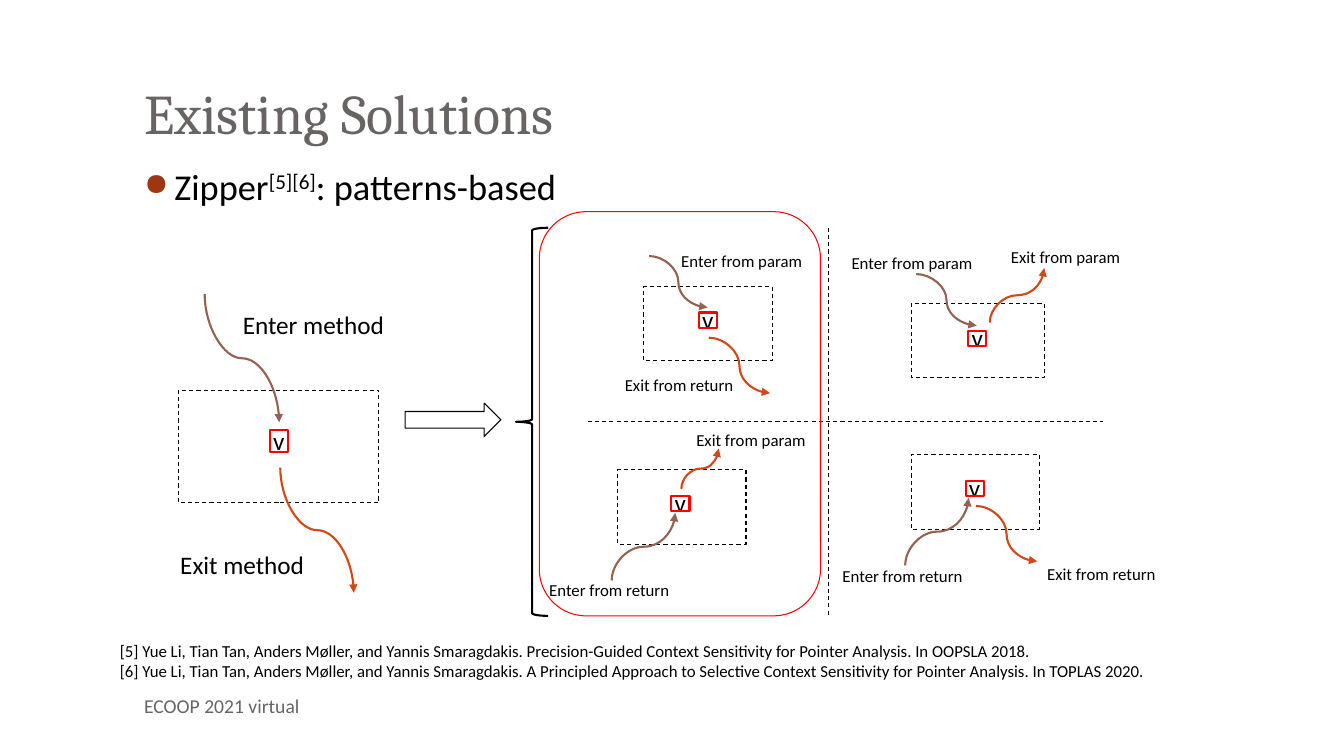
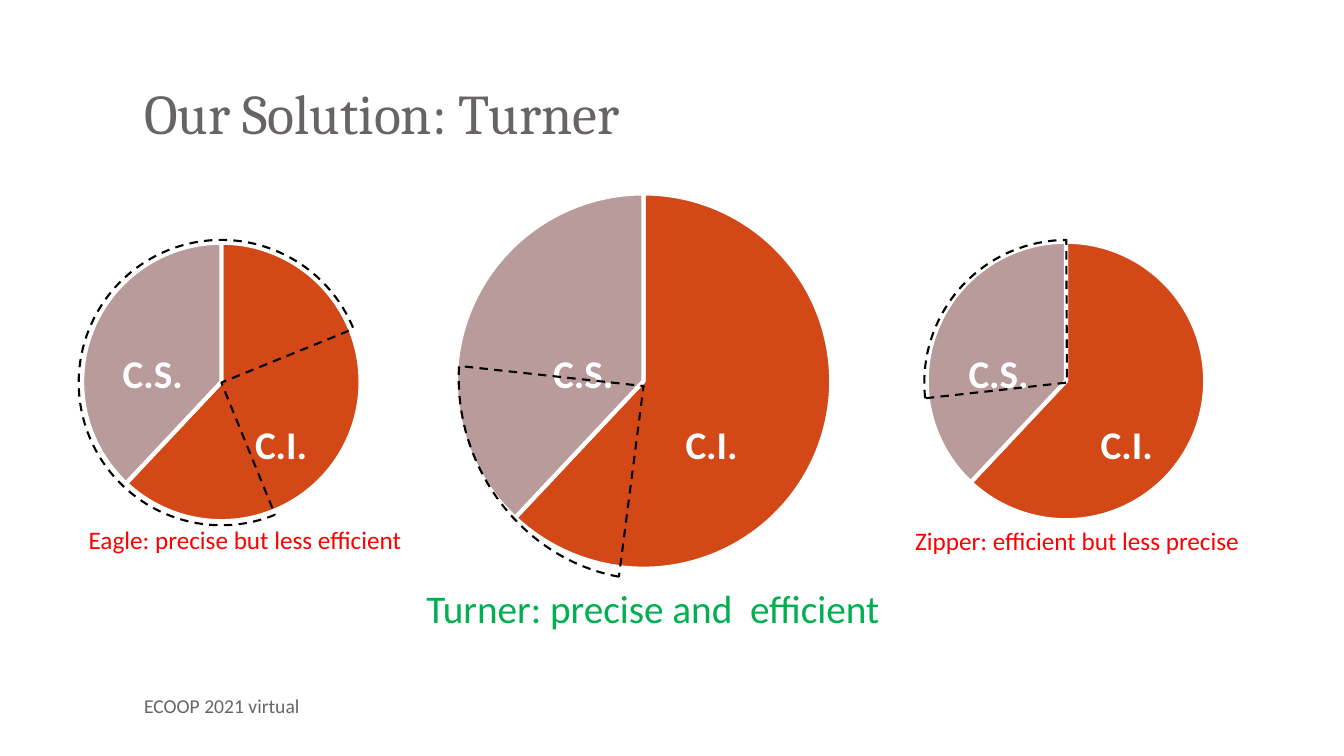
from dataclasses import dataclass
from typing import NamedTuple

from lxml.etree import SubElement
from pptx import Presentation
from pptx.chart.data import CategoryChartData
from pptx.dml.color import RGBColor
from pptx.enum.chart import XL_CHART_TYPE
from pptx.enum.dml import MSO_LINE
from pptx.enum.shapes import MSO_CONNECTOR, MSO_SHAPE
from pptx.enum.text import MSO_ANCHOR, MSO_AUTO_SIZE, PP_ALIGN
from pptx.oxml.ns import qn
from pptx.util import Pt

# Shared look
BLACK = RGBColor(0x00, 0x00, 0x00)
WHITE = RGBColor(0xFF, 0xFF, 0xFF)
GRAY = RGBColor(0x69, 0x64, 0x64)
RED = RGBColor(0xFF, 0x00, 0x00)
GREEN = RGBColor(0x00, 0xB0, 0x50)
ORANGE = RGBColor(0xD3, 0x48, 0x17)
BROWN = RGBColor(0x95, 0x62, 0x51)
MAUVE = RGBColor(0xB9, 0x9B, 0x9B)
BULLET_HEX = "9E3611"
HEADING_FONT = "Cambria"
BODY_FONT = "Calibri"


class Area(NamedTuple):
    left: float
    top: float
    width: float
    height: float


class Point(NamedTuple):
    x: float
    y: float


@dataclass(frozen=True)
class Arrow:
    start: Point
    end: Point
    vertical: bool = False


@dataclass(frozen=True)
class Label:
    text: str
    left: float
    top: float
    width: float


@dataclass(frozen=True)
class Flow:
    """A method with a variable, entered and left along two arrows."""
    method: Area
    variable: Point
    enter: Arrow
    leave: Arrow
    labels: tuple[Label, Label]
    label_size: float = 12
    label_height: float = 21.6
    marker_width: float = 13
    marker_height: float = 10.8


@dataclass(frozen=True)
class Analysis:
    """A pie chart, its dashed sector (in degrees) and its caption."""
    chart: Area
    label_left: float
    sector: Area
    rotation: float
    sector_start: float
    sector_end: float
    caption: str
    caption_area: Area
    caption_size: float
    caption_color: RGBColor


FLOWS = [
    Flow(Area(460, 204.5, 91.5, 53.3), Point(505.5, 228.6),
         Arrow(Point(463.7, 182.9), Point(505.4, 219.6)),
         Arrow(Point(506.2, 241.2), Point(550.1, 280.8)),
         (Label("Enter from param", 479.5, 175.7, 101.5),
          Label("Exit from return", 439.2, 264.2, 92.9))),
    Flow(Area(127.4, 278.6, 143.3, 80.6), Point(199.1, 315),
         Arrow(Point(146.2, 210.2), Point(199.4, 301.7), True),
         Arrow(Point(200.2, 334.1), Point(252.7, 423.4), True),
         (Label("Enter method", 166.3, 217.4, 116.6),
          Label("Exit method", 121.7, 388.8, 103.7)),
         label_size=18, label_height=28.8, marker_height=15.8),
    Flow(Area(650.9, 216.7, 95, 53.3), Point(698, 241.6),
         Arrow(Point(654.5, 195.8), Point(697.7, 232.6)),
         Arrow(Point(707, 230.4), Point(745.9, 191.5), True),
         (Label("Enter from param", 601.2, 177.1, 105.8),
          Label("Exit from param", 715, 172.8, 93.6))),
    Flow(Area(650.9, 324.7, 91.5, 53.3), Point(696.2, 348.8),
         Arrow(Point(646.6, 403.9), Point(691.9, 355.7), True),
         Arrow(Point(697, 361.4), Point(740.9, 401)),
         (Label("Enter from return", 594.7, 400.3, 100.8),
          Label("Exit from return", 740.9, 398.9, 92.9))),
    Flow(Area(441.4, 335.5, 91.5, 53.3), Point(486, 359.6),
         Arrow(Point(437, 414.7), Point(482.4, 366.5), True),
         Arrow(Point(486.7, 349.2), Point(513.4, 320.4), True),
         (Label("Enter from return", 385.2, 410.4, 100.8),
          Label("Exit from param", 490.3, 303.1, 93.6))),
]

ANALYSES = [
    Analysis(Area(234.7, 128.2, 450, 288), 388.1,
             Area(320.4, 144.7, 278.6, 262.1), 69.5, 27.88, 116.7,
             "Turner: precise and  efficient",
             Area(297.4, 414, 342, 41), 28, GREEN),
    Analysis(Area(-41, 163.4, 398.2, 218.9), 80.6,
             Area(56.2, 171.4, 203.8, 203.8), 67.9, 0, 270,
             "Eagle: precise but less efficient",
             Area(56.2, 370.8, 241.2, 28.8), 18, RED),
    Analysis(Area(562.3, 162.7, 398.2, 218.9), 684.7,
             Area(660.2, 171.4, 203.8, 203.8), 173.7, 0, 96.03,
             "Zipper: efficient but less precise",
             Area(646.6, 371.5, 253.4, 28.8), 18, RED),
]

REFERENCES = (
    "[5] Yue Li, Tian Tan, Anders Møller, and Yannis Smaragdakis. "
    "Precision-Guided Context Sensitivity for Pointer Analysis. In OOPSLA 2018.",
    "[6] Yue Li, Tian Tan, Anders Møller, and Yannis Smaragdakis. "
    "A Principled Approach to Selective Context Sensitivity for Pointer Analysis. "
    "In TOPLAS 2020.",
)


def place(area: Area) -> tuple:
    return tuple(Pt(length) for length in area)


def add_text(page, area: Area, lines: tuple, size: float, color=BLACK, font=BODY_FONT,
             bold=False, anchor=MSO_ANCHOR.MIDDLE, wrap=False, grow=True,
             align=PP_ALIGN.LEFT):
    box = page.shapes.add_textbox(*place(area))
    frame = box.text_frame
    frame.word_wrap = wrap
    frame.auto_size = (MSO_AUTO_SIZE.SHAPE_TO_FIT_TEXT if grow and not wrap
                       else MSO_AUTO_SIZE.NONE)
    frame.vertical_anchor = anchor
    for index, line in enumerate(lines):
        para = frame.add_paragraph() if index else frame.paragraphs[0]
        para.text = line
        para.alignment = align
        para.font.name, para.font.size, para.font.bold = font, Pt(size), bold
        para.font.color.rgb = color
    return box


def style_line(line, color: RGBColor, width: float, dashed: bool = False) -> None:
    line.color.rgb = color
    line.width = Pt(width)
    if dashed:
        line.dash_style = MSO_LINE.DASH


def add_outline(page, kind, area: Area, color=BLACK, width=0.75, dashed=False):
    shape = page.shapes.add_shape(kind, *place(area))
    shape.shadow.inherit = False
    shape.fill.background()
    style_line(shape.line, color, width, dashed)
    return shape


def add_line(page, kind, start: Point, end: Point, color=BLACK, width=0.75, dashed=False):
    line = page.shapes.add_connector(kind, *place((*start, *end)))
    style_line(line.line, color, width, dashed)
    SubElement(line._element.spPr, qn("a:effectLst"))
    return line


def add_arrow(page, arrow: Arrow, color: RGBColor) -> None:
    start, end = arrow.start, arrow.end
    if arrow.vertical:
        # A curve that leaves vertically is a horizontal one turned about its centre
        middle = Point((start.x + end.x) / 2, (start.y + end.y) / 2)
        half_width, half_height = abs(end.y - start.y) / 2, abs(end.x - start.x) / 2
        start = Point(middle.x - half_width, middle.y - half_height)
        end = Point(middle.x + half_width, middle.y + half_height)
    curve = add_line(page, MSO_CONNECTOR.CURVE, start, end, color, 1.5)
    if arrow.vertical:
        upward = arrow.end.y < arrow.start.y
        frame = curve._element.spPr.find(qn("a:xfrm"))
        frame.set("rot", str((90 if upward else 270) * 60000))
        frame.set("flipH", "1")
        if upward:
            frame.set("flipV", "1")
    SubElement(curve._element.spPr.find(qn("a:ln")), qn("a:tailEnd"), type="triangle")


def add_flow(page, flow: Flow) -> None:
    add_outline(page, MSO_SHAPE.RECTANGLE, flow.method, dashed=True)
    x, y = flow.variable
    add_text(page, Area(x - 12, y - 10.2, 24, 19.4), ("v",), 18, grow=False,
             align=PP_ALIGN.CENTER)
    add_arrow(page, flow.enter, BROWN)
    add_arrow(page, flow.leave, ORANGE)
    for label in flow.labels:
        add_text(page, Area(label.left, label.top, label.width, flow.label_height),
                 (label.text,), flow.label_size)
    marker = Area(x - flow.marker_width / 2, y - flow.marker_height / 2,
                  flow.marker_width, flow.marker_height)
    add_outline(page, MSO_SHAPE.RECTANGLE, marker, RED, 1.5)


def add_analysis(page, analysis: Analysis) -> None:
    data = CategoryChartData()
    data.categories = ["1", "2"]
    data.add_series("Series 1", (62, 38))
    chart = page.shapes.add_chart(XL_CHART_TYPE.PIE, *place(analysis.chart), data).chart
    chart.has_title = chart.has_legend = False
    chart.font.name, chart.font.size = BODY_FONT, Pt(10)
    chart.font.color.rgb = BLACK
    plot = chart.plots[0]
    plot.vary_by_categories = True
    for index, color in enumerate((ORANGE, MAUVE)):
        slice_format = plot.series[0].points[index].format
        slice_format.fill.solid()
        slice_format.fill.fore_color.rgb = color
        style_line(slice_format.line, WHITE, 3)

    left = analysis.label_left
    add_text(page, Area(left, 246.2, 58.3, 41), ("C.S.",), 28, WHITE, bold=True)
    add_text(page, Area(left + 94.5, 296.6, 52.6, 41), ("C.I.",), 28, WHITE, bold=True)

    sector = add_outline(page, MSO_SHAPE.PIE, analysis.sector, width=1.5, dashed=True)
    # Adjustments count 100000ths, angles 60000ths of a degree
    sector.adjustments[0] = analysis.sector_start * 0.6
    sector.adjustments[1] = analysis.sector_end * 0.6
    sector.rotation = analysis.rotation
    add_text(page, analysis.caption_area, (analysis.caption,), analysis.caption_size,
             analysis.caption_color)


def add_page(deck, title: str):
    page = deck.slides.add_slide(deck.slide_layouts[6])
    heading = add_text(page, Area(95.8, 21.6, 815.8, 90), (title,), 40, GRAY,
                       HEADING_FONT, anchor=MSO_ANCHOR.BOTTOM, wrap=True)
    heading.text_frame.margin_bottom = Pt(7.2)
    return page


def add_footer(page) -> None:
    add_text(page, Area(95.8, 486, 416.2, 36), ("ECOOP 2021 virtual",), 14, GRAY, wrap=True)


def add_bullet(page) -> None:
    box = add_text(page, Area(95.8, 113.8, 815.8, 360), ("Zipper",), 26,
                   anchor=MSO_ANCHOR.TOP, wrap=True)
    para = box.text_frame.paragraphs[0]
    para.space_before = Pt(5.8)
    citation = para.add_run()
    citation.text = "[5][6]"
    citation.font._element.set("baseline", "30000")
    para.add_run().text = ": patterns-based"
    properties = para._p.get_or_add_pPr()
    properties.set("marL", str(Pt(21.6)))
    properties.set("indent", str(-Pt(21.6)))
    bullet = [("buClr", {}), ("buSzPct", {"val": "85000"}), ("buChar", {"char": "●"})]
    before = properties.find(qn("a:defRPr"))
    for tag, attributes in bullet:
        part = SubElement(properties, qn(f"a:{tag}"), attributes)
        if tag == "buClr":
            SubElement(part, qn("a:srgbClr"), val=BULLET_HEX)
        if before is not None:
            before.addprevious(part)


def build_existing_solutions(deck) -> None:
    page = add_page(deck, "Existing Solutions")
    add_bullet(page)
    add_footer(page)
    add_text(page, Area(78.5, 454.3, 752.4, 36), REFERENCES, 12)
    # Arrow, brace and dividers of the four patterns
    add_outline(page, MSO_SHAPE.RIGHT_ARROW, Area(289.4, 288, 68.4, 23.8))
    add_outline(page, MSO_SHAPE.LEFT_BRACE, Area(368.6, 162.7, 23, 277.2), width=1.5)
    for start, end in ((Point(419.8, 301), Point(787.7, 301)),
                       (Point(591.8, 162.7), Point(591.8, 439.9))):
        add_line(page, MSO_CONNECTOR.STRAIGHT, start, end, dashed=True)
    for flow in FLOWS:
        add_flow(page, flow)
    add_outline(page, MSO_SHAPE.ROUNDED_RECTANGLE, Area(385.2, 151.2, 200.9, 288.7), RED)


def build_our_solution(deck) -> None:
    page = add_page(deck, "Our Solution: Turner")
    add_footer(page)
    for analysis in ANALYSES:
        add_analysis(page, analysis)


def main() -> None:
    deck = Presentation()
    deck.slide_width, deck.slide_height = Pt(960), Pt(540)
    build_existing_solutions(deck)
    build_our_solution(deck)
    deck.save("out.pptx")


if __name__ == "__main__":
    main()
